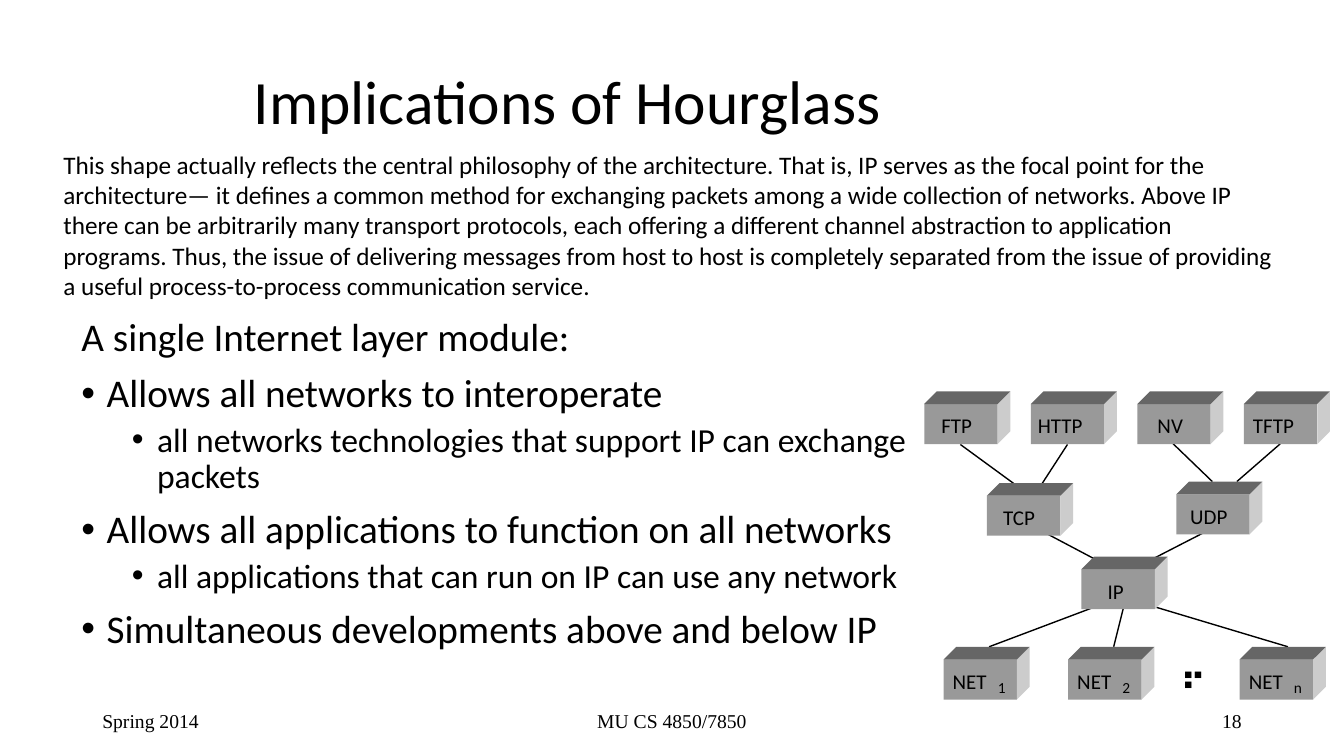
from lxml.etree import SubElement
from pptx import Presentation
from pptx.dml.color import RGBColor
from pptx.enum.shapes import MSO_CONNECTOR as CONN, MSO_SHAPE as SHAPE
from pptx.enum.text import MSO_ANCHOR as ANCHOR, MSO_AUTO_SIZE as AUTO, PP_ALIGN as ALIGN
from pptx.oxml.ns import qn
from pptx.util import Pt


def rgb(value):
    return RGBColor.from_string(value)


class Deck:
    FONT, SERIF, INK = "Calibri", "Times New Roman", "000000"
    FRONT, SIDE, TOP = "999999", "CCCCCC", "666666"
    WIDTH, HEIGHT, DEPTH = 52.4, 28.6, 9.1

    def __init__(self, prs):
        self.s = prs.slides.add_slide(prs.slide_layouts[1])

    def style(self, p, size, font=None, align=ALIGN.LEFT):
        p.alignment = align
        for r in p.runs:
            r.font.size = Pt(size)
            r.font.name = font or self.FONT
            r.font.color.rgb = rgb(self.INK)

    def place(self, sp, x, y, w, h):
        sp.left, sp.top, sp.width, sp.height = Pt(x), Pt(y), Pt(w), Pt(h)

    def text(self, text, x, y, w, h, size, font=None, align=ALIGN.LEFT, anchor=ANCHOR.TOP, inset=True):
        tf = self.s.shapes.add_textbox(Pt(x), Pt(y), Pt(w), Pt(h)).text_frame
        tf.word_wrap = True
        tf.vertical_anchor = anchor
        if not inset:
            tf.margin_left = tf.margin_right = tf.margin_top = tf.margin_bottom = 0
        tf.text = text
        self.style(tf.paragraphs[0], size, font, align)

    def title(self, text, *box):
        sp = self.s.shapes.title
        self.place(sp, *box)
        tf = sp.text_frame
        tf.text = text
        tf.auto_size = AUTO.NONE
        tf.vertical_anchor = ANCHOR.MIDDLE
        tf.paragraphs[0].line_spacing = 0.9
        self.style(tf.paragraphs[0], 44)

    def body(self, items, *box):
        sp = self.s.placeholders[1]
        self.place(sp, *box)
        tf = sp.text_frame
        tf.text = "\n".join(text for text, _, _ in items)
        tf.auto_size = AUTO.NONE
        for p, (_, level, bullet) in zip(tf.paragraphs, items):
            p.level = level
            p.line_spacing = 0.9
            p.space_before = Pt(5 if level else 10)
            p.space_after = Pt(0)
            self.style(p, 24 if level else 28)
            pPr = p._p.get_or_add_pPr()
            pPr.set("marL", str(Pt(18 + 36 * level)))
            pPr.set("indent", str(Pt(-18)))
            if bullet:
                SubElement(pPr, qn("a:buFont")).set("typeface", "Arial")
                SubElement(pPr, qn("a:buChar")).set("char", "•")
            else:
                SubElement(pPr, qn("a:buNone"))

    def line(self, x1, y1, x2, y2):
        c = self.s.shapes.add_connector(CONN.STRAIGHT, Pt(x1), Pt(y1), Pt(x2), Pt(y2))
        c.line.color.rgb = rgb(self.INK)
        c.line.width = Pt(1)
        SubElement(c._element.spPr, qn("a:effectLst"))

    def paint(self, sp, color):
        sp.fill.solid()
        sp.fill.fore_color.rgb = rgb(color)
        sp.line.fill.background()
        sp.shadow.inherit = False

    def face(self, points, color):
        start, *rest = [(Pt(x), Pt(y)) for x, y in points]
        fb = self.s.shapes.build_freeform(*start)
        fb.add_line_segments(rest, close=True)
        self.paint(fb.convert_to_shape(), color)

    def block(self, label, x, y, indent, index=None):
        w, h, d = self.WIDTH, self.HEIGHT, self.DEPTH
        front = self.s.shapes.add_shape(SHAPE.RECTANGLE, Pt(x), Pt(y + d), Pt(w), Pt(h))
        self.paint(front, self.FRONT)
        self.face([(x + w + d, y), (x + w + d, y + h), (x + w, y + d + h), (x + w, y + d)], self.SIDE)
        self.face([(x, y + d), (x + d, y), (x + w + d, y), (x + w, y + d)], self.TOP)
        self.text(label, x + indent, y + 15.5, 45, 18, 15, inset=False)
        if index:
            self.text(index, x + 38.7, y + 22.7, 12, 14, 11, inset=False)


prs = Presentation()
prs.slide_width, prs.slide_height = Pt(960), Pt(540)
deck = Deck(prs)

deck.title("Implications of Hourglass", 174, 30, 612, 90)
deck.body([
    ("A single Internet layer module:", 0, False),
    ("Allows all networks to interoperate", 0, True),
    ("all networks technologies that support IP can exchange packets", 1, True),
    ("Allows all applications to function on all networks", 0, True),
    ("all applications that can run on IP can use any network", 1, True),
    ("Simultaneous developments above and below IP", 0, True),
], 51, 223.2, 612, 308)

for text, x, w, align in [
    ("Spring 2014", 66, 216, ALIGN.LEFT),
    ("MU CS 4850/7850", 318, 324, ALIGN.CENTER),
    ("18", 678, 216, ALIGN.RIGHT),
]:
    deck.text(text, x, 500.5, w, 28.8, 14, deck.SERIF, align, ANCHOR.MIDDLE)

for ends in [
    (686, 317.5, 725, 346), (762.5, 317.5, 744, 346),
    (838, 317, 866, 344), (914.5, 317, 883.5, 344),
    (736, 375, 787, 402), (870.5, 375, 818, 402),
    (786, 432, 706.5, 462), (803, 432, 795.5, 462), (920, 462, 820, 432),
]:
    deck.line(*ends)

for i, (label, indent) in enumerate([("FTP", 12.2), ("HTTP", 5), ("NV", 14.4), ("TFTP", 6.5)]):
    deck.block(label, 660.2 + 76.1 * i, 279.5, indent)
deck.block("TCP", 705, 345, 11.5)
deck.block("UDP", 840.2, 344, 10)
deck.block("IP", 772.5, 397.5, 18.7)
for index, x in [("1", 674), ("2", 763), ("n", 885.5)]:
    deck.block("NET", x, 462, 6.5, index)
deck.text("■ ■ ■", 846, 478, 14.4, 15, 6, inset=False)

deck.text(
    "This shape actually reflects the central philosophy of the architecture. That is, IP serves as "
    "the focal point for the architecture— it defines a common method for exchanging packets among a "
    "wide collection of networks. Above IP there can be arbitrarily many transport protocols, each "
    "offering a different channel abstraction to application programs. Thus, the issue of delivering "
    "messages from host to host is completely separated from the issue of providing a useful "
    "process-to-process communication service.",
    38.2, 103, 884, 116.6, 18)

prs.save("out.pptx")
